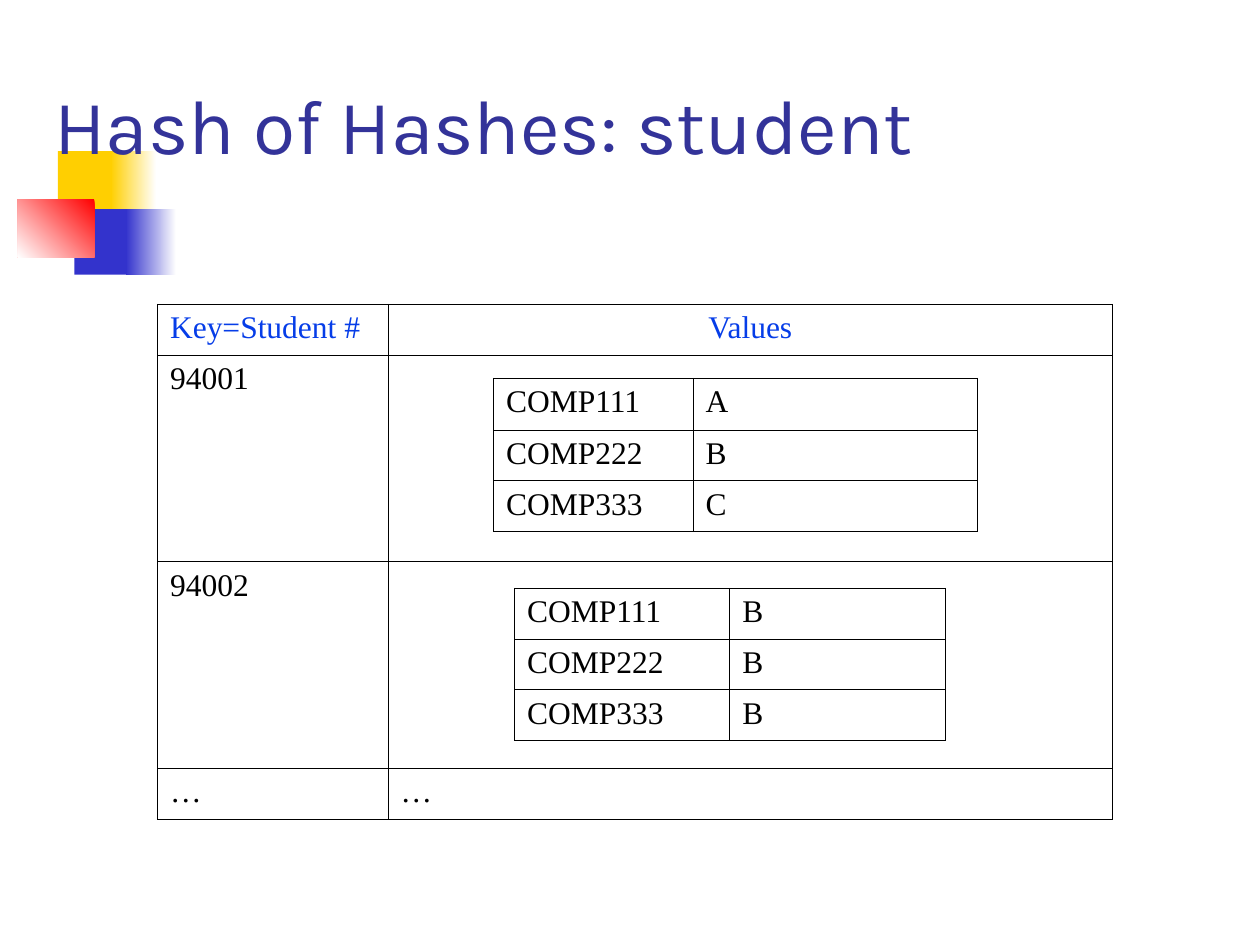
import pptx
import pptx.util
import pptx.dml.color
import pptx.enum.shapes
import pptx.enum.text
import pptx.oxml
import pptx.oxml.ns

Pt = pptx.util.Pt
RGB = pptx.dml.color.RGBColor.from_string
ALIGN = pptx.enum.text.PP_ALIGN

THEME = {
    "title": {"font": "Karla", "size": 44, "color": "333399"},
    "head": {"font": "Times New Roman", "size": 18, "color": "063DE8"},
    "body": {"font": "Times New Roman", "size": 18, "color": "000000"},
    "line": "000000",
    "width": 0.45,
    "hang": 27,
}

TITLE = "Hash of Hashes: student"
TITLE_BOX = (23.8, 39.6, 607.7, 61.2)

SQUARES = [
    ((33.1, 86.4, 34.6, 37.4), ["FFCF01"], 0),
    ((63.4, 86.4, 25.9, 37.4), ["FFFFFF", "FFCF01"], 180),
    ((42.5, 119.5, 33.1, 37.4), ["3333CC"], 0),
    ((72, 119.5, 28.8, 37.4), ["FFFFFF", "3333CC"], 180),
    ((10.1, 113.8, 43.9, 33.1), ["FF0000", "FFFFFF"], 225),
]

TABLES = [
    {
        "at": (90, 173.9), "cols": [131.8, 414], "rows": [29.1, 118, 118, 29.1],
        "cells": [["Key=Student #", "Values"], ["94001", ""], ["94002", ""], ["…", "…"]],
        "head": True,
    },
    {
        "at": (282, 216.1), "cols": [114, 162.5], "rows": [29.6, 29, 29],
        "cells": [["COMP111", "A"], ["COMP222", "B"], ["COMP333", "C"]],
        "head": False,
    },
    {
        "at": (294, 336.1), "cols": [123, 123], "rows": [29, 29, 29],
        "cells": [["COMP111", "B"], ["COMP222", "B"], ["COMP333", "B"]],
        "head": False,
    },
]


def style(font, look):
    font.name = look["font"]
    font.size = Pt(look["size"])
    font.color.rgb = RGB(look["color"])


def add_square(slide, box, colors, angle):
    kind = pptx.enum.shapes.MSO_SHAPE.RECTANGLE
    square = slide.shapes.add_shape(kind, *map(Pt, box))
    square.shadow.inherit = False
    square.line.fill.background()
    if len(colors) == 1:
        square.fill.solid()
        square.fill.fore_color.rgb = RGB(colors[0])
        return
    square.fill.gradient()
    square.fill.gradient_angle = angle
    for stop, color in zip(square.fill.gradient_stops, colors):
        stop.color.rgb = RGB(color)


def add_edges(cell):
    props = cell._tc.get_or_add_tcPr()
    for side in "LRTB":
        props.append(pptx.oxml.parse_xml(
            f'<a:ln{side} {pptx.oxml.ns.nsdecls("a")} w="{Pt(THEME["width"])}">'
            f'<a:solidFill><a:srgbClr val="{THEME["line"]}"/></a:solidFill></a:ln{side}>'
        ))


def fill_cell(cell, text, look):
    add_edges(cell)
    cell.fill.background()
    cell.text_frame.text = text
    para = cell.text_frame.paragraphs[0]
    props = para._p.get_or_add_pPr()
    props.set("marL", str(Pt(THEME["hang"])))
    props.set("indent", str(-Pt(THEME["hang"])))
    style(para.font, look)
    for run in para.runs:
        style(run.font, look)


def add_grid(slide, data):
    cols, rows = data["cols"], data["rows"]
    size = (sum(cols), sum(rows))
    grid = slide.shapes.add_table(
        len(rows), len(cols), *map(Pt, data["at"] + size)
    ).table
    grid.first_row = data["head"]
    grid.horz_banding = False
    for col, width in zip(grid.columns, cols):
        col.width = Pt(width)
    for r, (height, texts) in enumerate(zip(rows, data["cells"])):
        grid.rows[r].height = Pt(height)
        look = THEME["head" if data["head"] and r == 0 else "body"]
        for c, text in enumerate(texts):
            fill_cell(grid.cell(r, c), text, look)
    if data["head"]:
        for cell in grid.rows[0].cells:
            cell.text_frame.paragraphs[0].runs[0].font.bold = False
        grid.cell(0, 1).text_frame.paragraphs[0].alignment = ALIGN.CENTER


def set_title(slide):
    title = slide.shapes.title
    title.left, title.top, title.width, title.height = map(Pt, TITLE_BOX)
    frame = title.text_frame
    frame.text = TITLE
    frame.word_wrap = True
    frame.auto_size = pptx.enum.text.MSO_AUTO_SIZE.NONE
    frame.vertical_anchor = pptx.enum.text.MSO_ANCHOR.BOTTOM
    frame.paragraphs[0].alignment = ALIGN.LEFT
    style(frame.paragraphs[0].runs[0].font, THEME["title"])
    slide.shapes._spTree.append(title._element)


def main():
    deck = pptx.Presentation()
    deck.slide_width, deck.slide_height = Pt(720), Pt(540)
    slide = deck.slides.add_slide(deck.slide_layouts[5])
    for box, colors, angle in SQUARES:
        add_square(slide, box, colors, angle)
    set_title(slide)
    for data in TABLES:
        add_grid(slide, data)
    deck.save("out.pptx")


if __name__ == "__main__":
    main()
